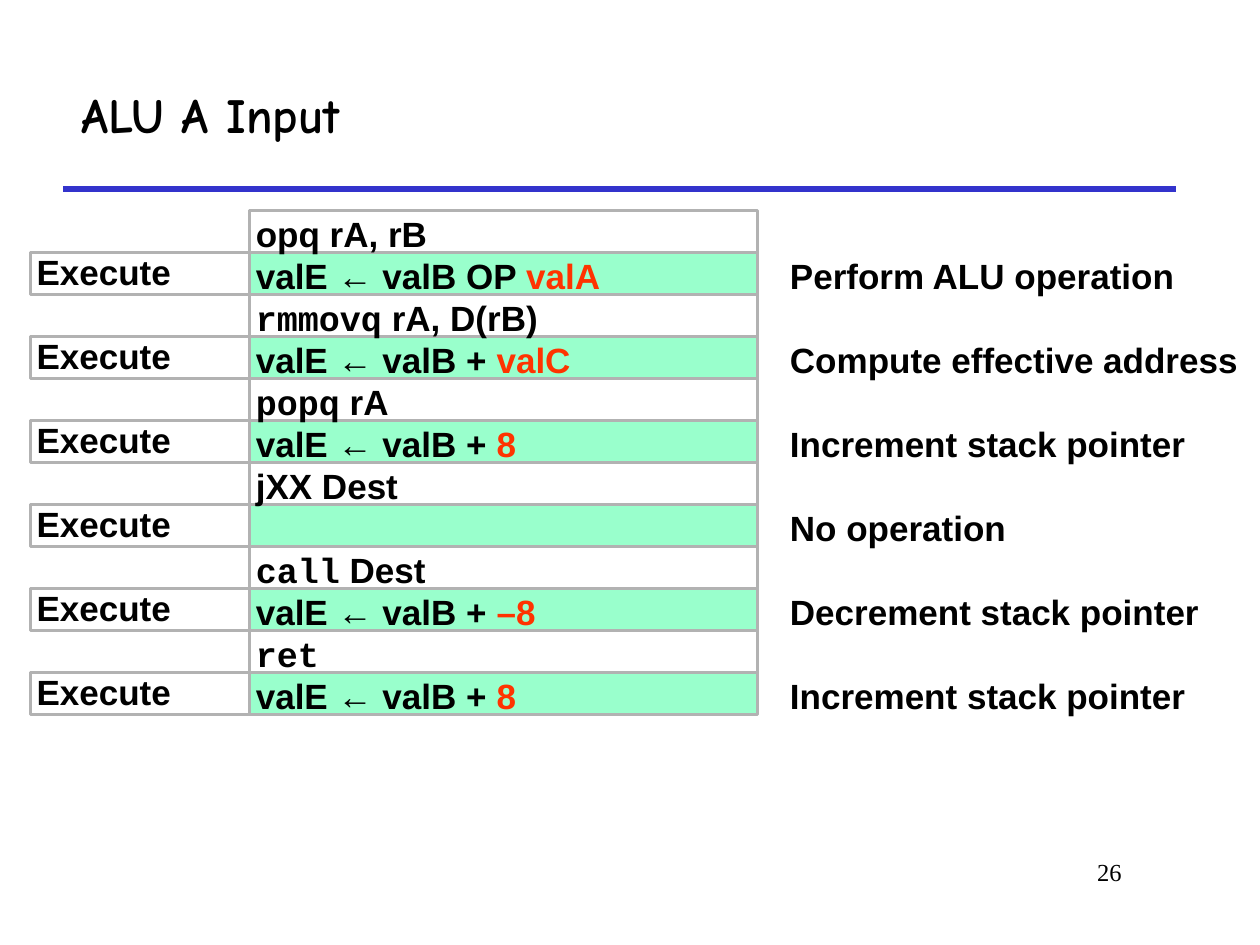
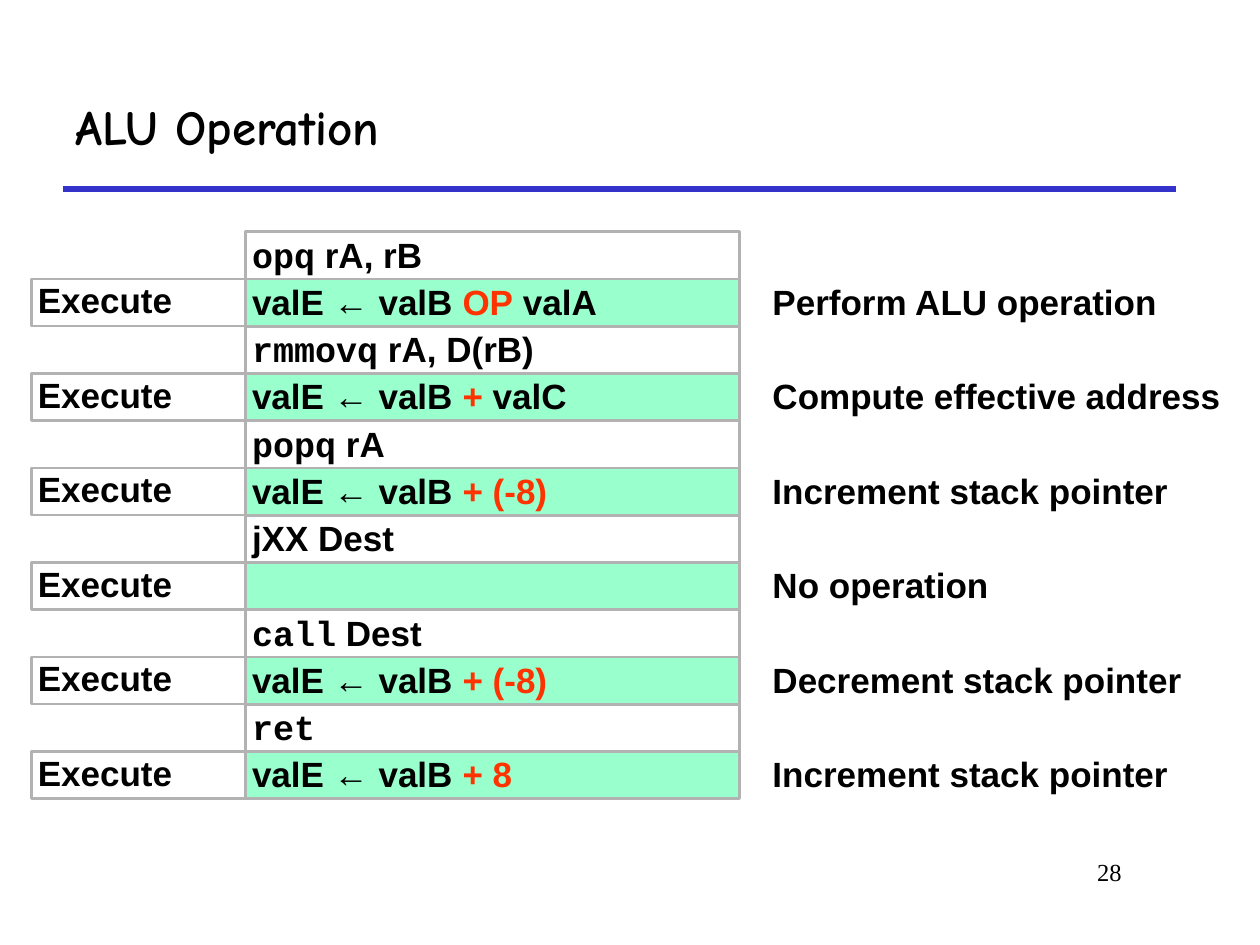
from lxml import etree
from pptx import Presentation
from pptx.dml.color import RGBColor
from pptx.enum.shapes import MSO_CONNECTOR, MSO_SHAPE
from pptx.enum.text import MSO_ANCHOR, MSO_AUTO_SIZE, PP_ALIGN
from pptx.oxml.ns import qn
from pptx.util import Pt

RECTANGLE = MSO_SHAPE.RECTANGLE
STRAIGHT = MSO_CONNECTOR.STRAIGHT
TOP, MIDDLE = MSO_ANCHOR.TOP, MSO_ANCHOR.MIDDLE
LEFT, RIGHT = PP_ALIGN.LEFT, PP_ALIGN.RIGHT
NO_AUTOFIT = MSO_AUTO_SIZE.NONE

BLACK = RGBColor(0x00, 0x00, 0x00)
BLUE = RGBColor(0x33, 0x33, 0xCC)
GRAY = RGBColor(0xB2, 0xB2, 0xB2)
MINT = RGBColor(0x99, 0xFF, 0xCC)
RED = RGBColor(0xFF, 0x33, 0x00)

TITLE_FONT, TEXT_FONT = "Comic Neue", "Arial"
CODE_FONT, NUMBER_FONT = "Courier New", "Times New Roman"

PURPOSES = [
    "Perform ALU operation",
    "Compute effective address",
    "Increment stack pointer",
    "No operation",
    "Decrement stack pointer",
    "Increment stack pointer",
]
INSTRUCTIONS = [
    ("opq", " rA, rB"),
    ("rmmovq", " rA, D(rB)"),
    ("popq", " rA"),
    ("", "jXX Dest"),
    ("call", " Dest"),
    ("ret", ""),
]

SLIDES = [
    {
        "title": "ALU A Input",
        "title_box": (39.6, 34.6, 632.2, 61.2),
        "number": "26",
        "instructions": [("", "opq rA, rB")] + INSTRUCTIONS[1:],
        "computations": [
            ("valE ← valB OP ", "valA", ""),
            ("valE ← valB + ", "valC", ""),
            ("valE ← valB + ", "8", ""),
            ("", "", ""),
            ("valE ← valB + ", "–8", ""),
            ("valE ← valB + ", "8", ""),
        ],
        "top": 120.4,
        "row_height": 24,
        "stage": (17.3, 125.3),
        "step": (142.6, 290.2),
        "purpose": (447.8, 272.2),
    },
    {
        "title": "ALU Operation",
        "title_box": (36, 36, 635.8, 72),
        "number": "28",
        "instructions": INSTRUCTIONS,
        "computations": [
            ("valE ← valB ", "OP", " valA"),
            ("valE ← valB ", "+", " valC"),
            ("valE ← valB ", "+ (-8)", ""),
            ("", "", ""),
            ("valE ← valB ", "+ (-8)", ""),
            ("valE ← valB ", "+ 8", ""),
        ],
        "top": 132.4,
        "row_height": 27,
        "stage": (18, 122.4),
        "step": (140.4, 282.2),
        "purpose": (437.8, 282.2),
    },
]


def add_runs(paragraph, runs, size, bold=True):
    for text, font_name, color in runs:
        if text:
            run = paragraph.add_run()
            run.text = text
            run.font.name = font_name
            run.font.size = Pt(size)
            run.font.bold = bold
            run.font.color.rgb = color


def add_cell(slide, column, top, height, runs, anchor=TOP, fill=None, outlined=True):
    left, width = column
    box = Pt(left), Pt(top), Pt(width), Pt(height)
    if outlined:
        cell = slide.shapes.add_shape(RECTANGLE, *box)
        cell.shadow.inherit = False
        cell.line.color.rgb = GRAY
        cell.line.width = Pt(1.5)
        if fill is None:
            cell.fill.background()
        else:
            cell.fill.solid()
            cell.fill.fore_color.rgb = fill
    else:
        cell = slide.shapes.add_textbox(*box)
    frame = cell.text_frame
    frame.word_wrap = True
    frame.vertical_anchor = anchor
    frame.margin_left = frame.margin_right = Pt(3.6)
    frame.margin_top = frame.margin_bottom = Pt(3.6)
    paragraph = frame.paragraphs[0]
    paragraph.alignment = LEFT
    paragraph.line_spacing = 0.9
    add_runs(paragraph, runs, 20)


prs = Presentation()
prs.slide_width, prs.slide_height = Pt(720), Pt(540)

for content in SLIDES:
    slide = prs.slides.add_slide(prs.slide_layouts[5])

    rule = slide.shapes.add_connector(STRAIGHT, Pt(36), Pt(108), Pt(672), Pt(108))
    rule.line.color.rgb = BLUE
    rule.line.width = Pt(3)
    etree.SubElement(rule._element.spPr, qn("a:effectLst"))

    title = slide.shapes.title
    title.left, title.top, title.width, title.height = map(Pt, content["title_box"])
    title.text_frame.auto_size = NO_AUTOFIT
    title.text_frame.vertical_anchor = MIDDLE
    heading = title.text_frame.paragraphs[0]
    heading.alignment = LEFT
    add_runs(heading, [(content["title"], TITLE_FONT, BLACK)], 28)

    number_box = slide.shapes.add_textbox(Pt(546), Pt(486), Pt(102), Pt(36))
    number_box.text_frame.word_wrap = True
    number = number_box.text_frame.paragraphs[0]
    number.alignment = RIGHT
    add_runs(number, [(content["number"], NUMBER_FONT, BLACK)], 14, bold=False)

    height = content["row_height"]
    for index, (before, changed, after) in enumerate(content["computations"]):
        top = content["top"] + (2 * index + 1) * height
        computation = [
            (before, TEXT_FONT, BLACK),
            (changed, TEXT_FONT, RED),
            (after, TEXT_FONT, BLACK),
        ]
        purpose = [(PURPOSES[index], TEXT_FONT, BLACK)]
        add_cell(slide, content["stage"], top, height, [("Execute", TEXT_FONT, BLACK)], MIDDLE)
        add_cell(slide, content["step"], top, height, computation, fill=MINT)
        add_cell(slide, content["purpose"], top, height, purpose, outlined=False)

    for index, (mnemonic, operands) in enumerate(content["instructions"]):
        top = content["top"] + 2 * index * height
        instruction = [(mnemonic, CODE_FONT, BLACK), (operands, TEXT_FONT, BLACK)]
        add_cell(slide, content["step"], top, height, instruction)

prs.save("out.pptx")
